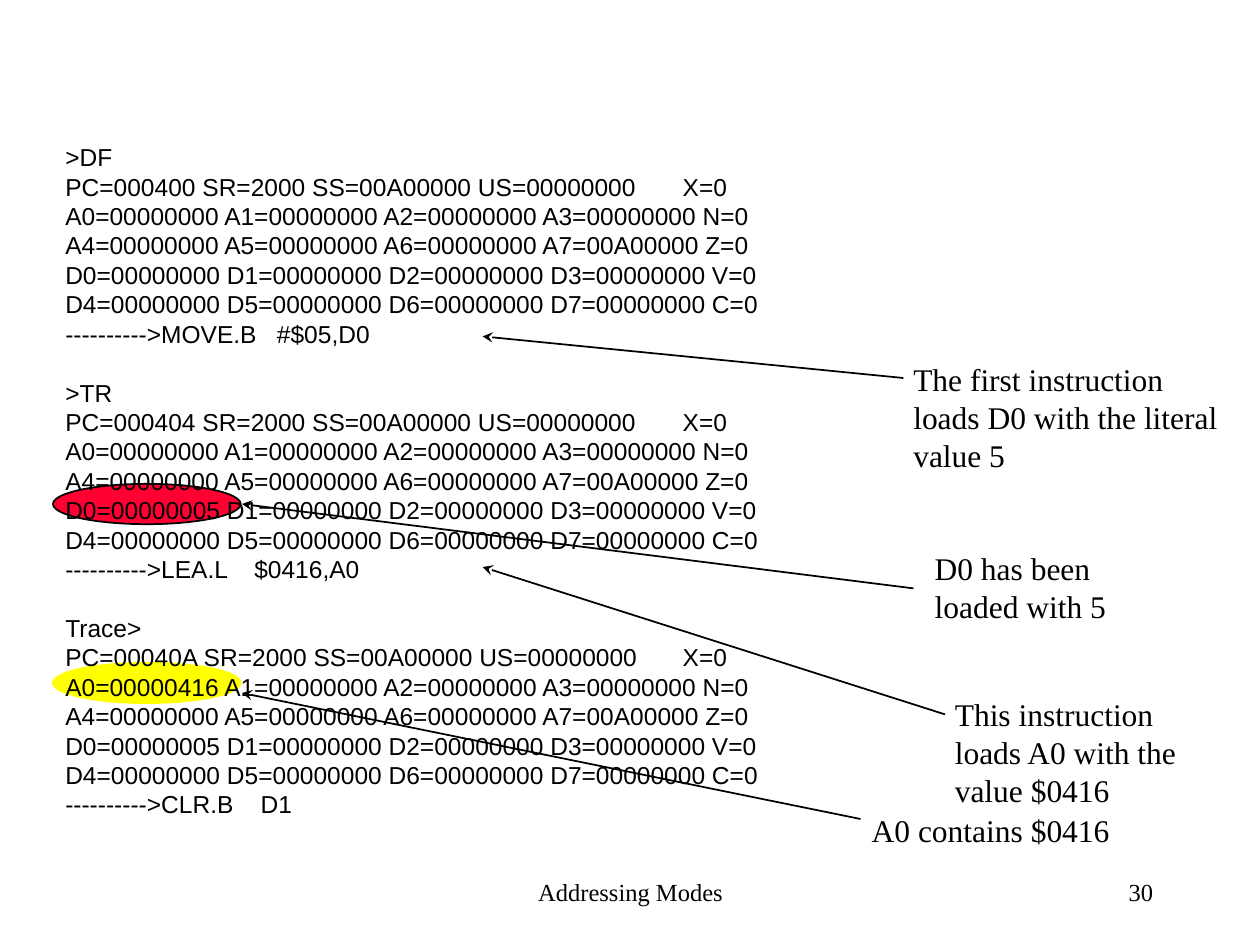
from lxml import etree
from pptx import Presentation
from pptx.dml.color import RGBColor
from pptx.enum.shapes import MSO_CONNECTOR, MSO_SHAPE
from pptx.enum.text import MSO_ANCHOR, MSO_AUTO_SIZE, PP_ALIGN
from pptx.oxml.ns import qn
from pptx.util import Inches, Pt

STRAIGHT = MSO_CONNECTOR.STRAIGHT
ELLIPSE = MSO_SHAPE.OVAL
TOP, MIDDLE = MSO_ANCHOR.TOP, MSO_ANCHOR.MIDDLE
FIT, FIXED = MSO_AUTO_SIZE.SHAPE_TO_FIT_TEXT, MSO_AUTO_SIZE.NONE
LEFT, CENTER, RIGHT = PP_ALIGN.LEFT, PP_ALIGN.CENTER, PP_ALIGN.RIGHT
SERIF, SANS = "Times New Roman", "Arial"
BLACK, RED, YELLOW = "000000", "FF0033", "FFFF00"
LINE_RATIO = 1.2
FLAG_TAB = 4.9

ZERO = "00000000"
STEPS = [
    (">DF", "000400", {}, "MOVE.B", "#$05,D0", 1.68),
    (">TR", "000404", {"D0": "00000005"}, "LEA.L", "$0416,A0", 1.5),
    ("Trace>", "00040A", {"D0": "00000005", "A0": "00000416"}, "CLR.B", "D1", 1.55),
]
NOTES = [
    ((7.15, 2.81, 2.62, 1),
     ["The first instruction", "loads D0 with the literal", "value 5"],
     (7.17, 3), (3.83, 2.67)),
    ((7.32, 4.31, 1.56, 0.7), ["D0 has been", "loaded with 5"],
     (7.25, 4.67), (1.92, 4)),
    ((7.48, 5.47, 1.97, 1),
     ["This instruction", "loads A0 with the", "value $0416"],
     (7.5, 5.67), (3.83, 4.5)),
    ((6.82, 6.39, 2.09, 0.4), ["A0 contains $0416"],
     (6.83, 6.5), (1.92, 5.5)),
]


def color(value):
    """Turn a hex string into a colour."""
    return RGBColor.from_string(value)


def add_text(s, box, lines, size, font, align=LEFT, anchor=TOP, wrap=False):
    """Write lines as paragraphs in a text box and return its paragraphs."""
    tf = s.shapes.add_textbox(*map(Inches, box)).text_frame
    tf.word_wrap = wrap
    tf.auto_size = FIT if anchor == TOP else FIXED
    tf.vertical_anchor = anchor
    tf.text = "\n".join(lines)
    for p in tf.paragraphs:
        p.alignment = align
        p.line_spacing = Pt(size * LINE_RATIO)
        p.font.size = Pt(size)
        p.font.name = font
        p.font.color.rgb = color(BLACK)
    return tf.paragraphs


def add_tab(p, position):
    """Give a paragraph one left tab stop."""
    tabs = etree.Element(qn("a:tabLst"))
    etree.SubElement(tabs, qn("a:tab"), pos=str(Inches(position)), algn="l")
    p._p.get_or_add_pPr().find(qn("a:defRPr")).addprevious(tabs)


def add_highlight(s, box, fill, line):
    """Draw an ellipse behind a changed register."""
    sp = s.shapes.add_shape(ELLIPSE, *map(Inches, box))
    sp.shadow.inherit = False
    sp.fill.solid()
    sp.fill.fore_color.rgb = color(fill)
    sp.line.color.rgb = color(line)
    sp.line.width = Pt(1)


def add_arrow(s, start, end):
    """Draw a line that ends in a stealth arrowhead."""
    line = s.shapes.add_connector(STRAIGHT, *map(Inches, start + end))
    line.line.color.rgb = color(BLACK)
    line.line.width = Pt(1)
    etree.SubElement(line.line._get_or_add_ln(), qn("a:tailEnd"), type="stealth")
    etree.SubElement(line._element.spPr, qn("a:effectLst"))


def add_note(s, box, lines, start, end):
    """Write a comment and point its arrow at the trace."""
    add_arrow(s, start, end)
    add_text(s, box, lines, 18, SERIF)


def register_lines(pc, changed):
    """List the register lines of one step with their flags."""
    values = {"A7": "00A00000", **changed}
    rows = [f"PC={pc} SR=2000 SS=00A00000 US={ZERO}\tX=0"]
    for bank, first, flag in [("A", 0, "N"), ("A", 4, "Z"), ("D", 0, "V"), ("D", 4, "C")]:
        names = [f"{bank}{i}" for i in range(first, first + 4)]
        cells = [f"{name}={values.get(name, ZERO)}" for name in names]
        rows.append(" ".join(cells + [f"{flag}=0"]))
    return rows


def add_trace(s, box):
    """Write the debugger trace, one group of lines per step."""
    lines, tabs, starts = [], {}, []
    for command, pc, changed, opcode, operand, tab in STEPS:
        starts.append(len(lines))
        tabs[len(lines) + 1] = FLAG_TAB
        lines += [command, *register_lines(pc, changed)]
        tabs[len(lines)] = tab
        lines.append(f"---------->{opcode}\t{operand}")
    paragraphs = add_text(s, box, lines, 14, SANS, wrap=True)
    for i, position in tabs.items():
        add_tab(paragraphs[i], position)
    for i in starts[1:]:
        paragraphs[i].space_before = Pt(14 * LINE_RATIO)


def add_footer(s, top, height):
    """Write the lecture name and the page number."""
    add_text(s, (3.42, top, 3.17, height), ["Addressing Modes"], 14, SERIF, CENTER, MIDDLE)
    add_text(s, (7.17, top, 2.08, height), ["30"], 14, SERIF, RIGHT, MIDDLE)


def main():
    """Build the slide and save it."""
    prs = Presentation()
    prs.slide_width, prs.slide_height = Inches(10), Inches(7.5)
    s = prs.slides.add_slide(prs.slide_layouts[6])
    add_footer(s, 6.83, 0.5)
    add_highlight(s, (0.42, 3.84, 1.49, 0.32), RED, BLACK)
    add_highlight(s, (0.42, 5.26, 1.49, 0.32), YELLOW, YELLOW)
    for note in NOTES:
        add_note(s, *note)
    add_trace(s, (0.42, 1.08, 6.33, 5.47))
    prs.save("out.pptx")


if __name__ == "__main__":
    main()
